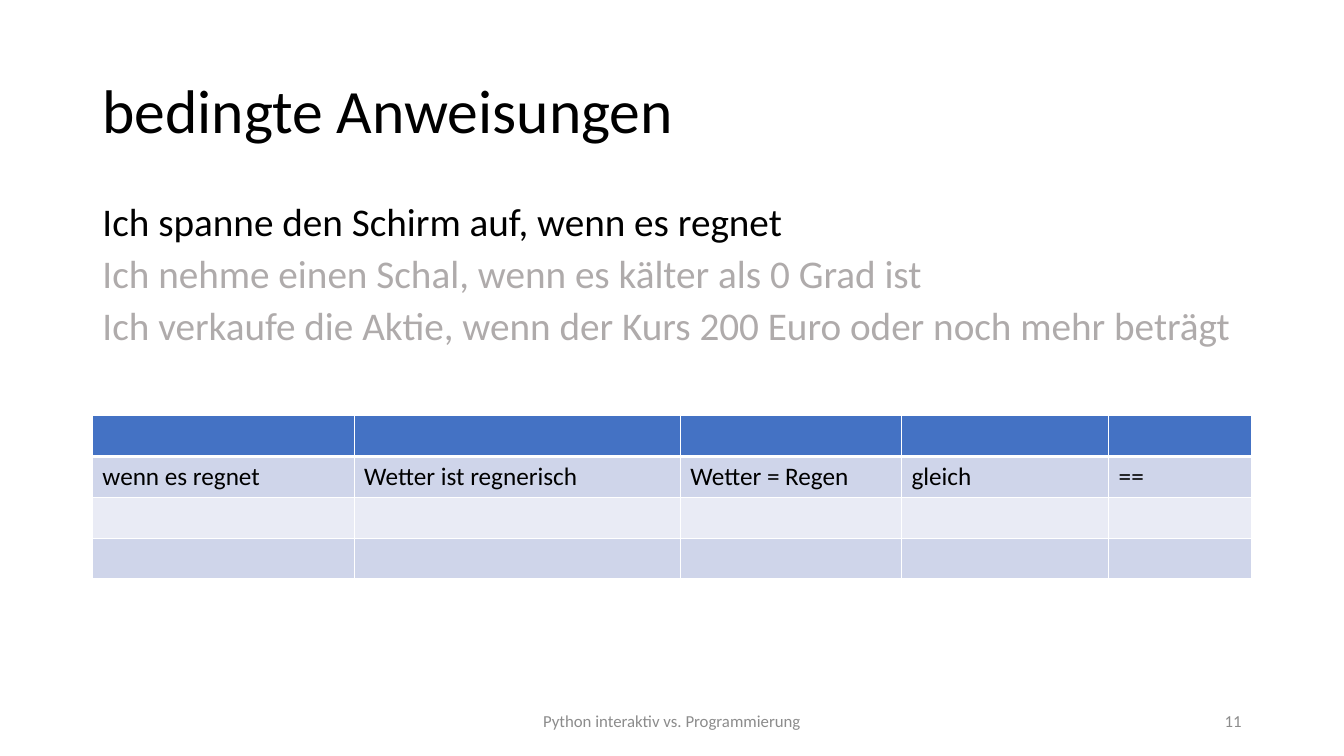
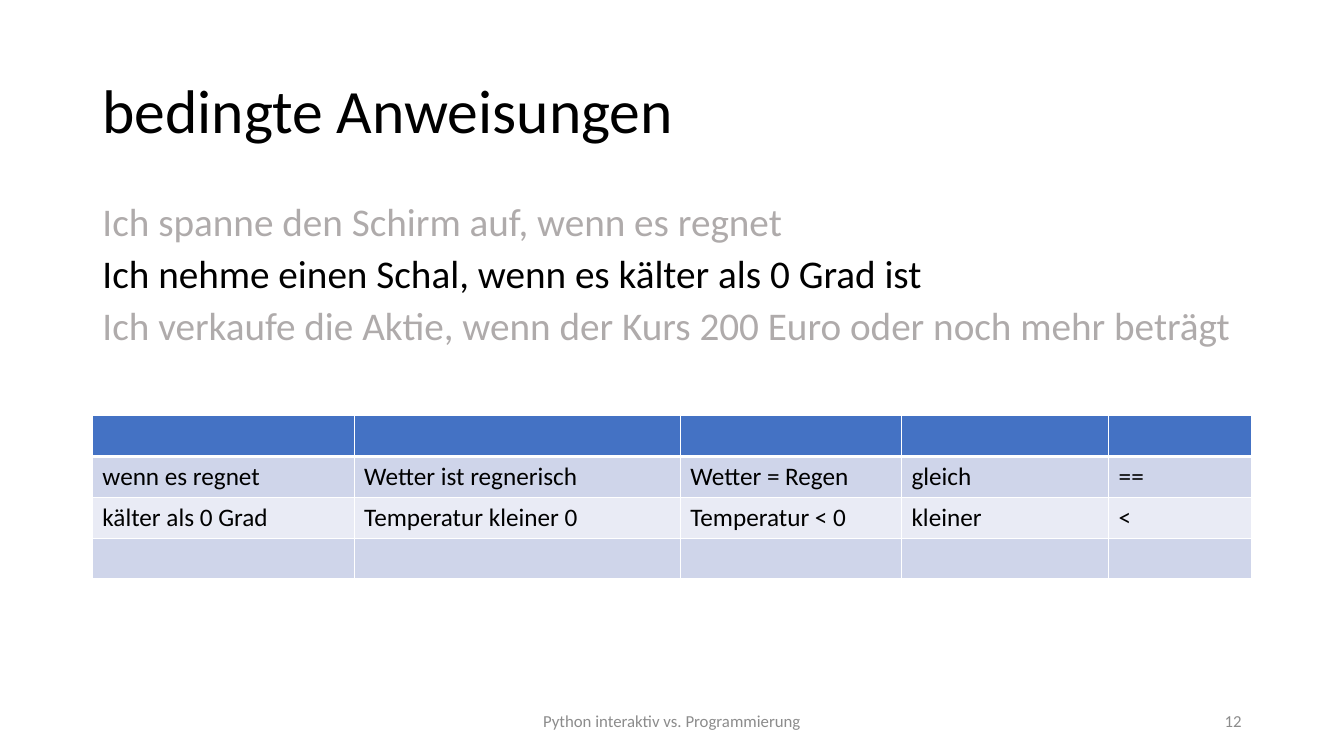
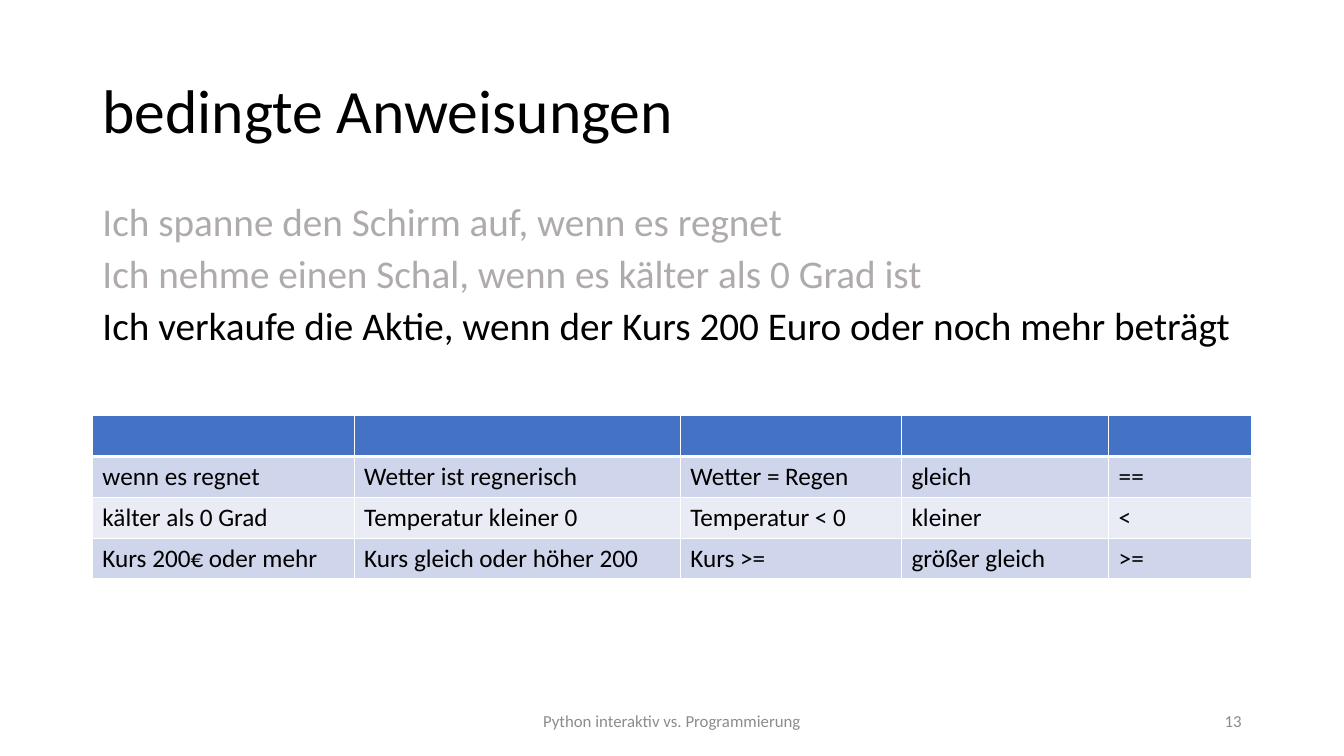
from dataclasses import dataclass

from lxml.etree import SubElement
from pptx import Presentation
from pptx.dml.color import RGBColor
from pptx.enum.text import MSO_ANCHOR as Anchor, MSO_AUTO_SIZE as AutoSize, PP_ALIGN as Align
from pptx.oxml.ns import qn
from pptx.util import Pt


@dataclass(frozen=True)
class Theme:
    font: str = "Calibri"
    text: str = "000000"
    faded: str = "AFABAB"
    footer: str = "8C8C8C"
    border: str = "FFFFFF"
    header: str = "4472C4"
    bands: tuple = ("CFD5EA", "E9EBF5")
    title_size: int = 44
    body_size: int = 28
    table_size: int = 18
    footer_size: int = 12


theme = Theme()


def write(frame, text, size, color=theme.text, align=Align.LEFT, anchor=Anchor.TOP,
          line_spacing=1.0, space_before=0, plain_list=False):
    frame.word_wrap = True
    frame.vertical_anchor = anchor
    paragraph = frame.paragraphs[0]
    if paragraph.runs:
        paragraph = frame.add_paragraph()
    paragraph.alignment = align
    paragraph.line_spacing = line_spacing
    paragraph.space_before = Pt(space_before)
    if plain_list:
        properties = paragraph._p.get_or_add_pPr()
        properties.set("marL", "0")
        properties.set("indent", "0")
        SubElement(properties, qn("a:buNone"))
    run = paragraph.add_run()
    run.text = text
    run.font.name = theme.font
    run.font.size = Pt(size)
    run.font.color.rgb = RGBColor.from_string(color)


def add_border(cell, side, width):
    line = SubElement(cell._tc.get_or_add_tcPr(), qn(f"a:ln{side}"), w=str(Pt(width)))
    fill = SubElement(line, qn("a:solidFill"))
    SubElement(fill, qn("a:srgbClr"), val=theme.border)


left, content_width = 66, 828
footer_top, footer_height = 500.5, 28.8
first_number = 11
column_widths = [187, 233, 158, 148, 102]
row_height = 29.2
sentences = [
    "Ich spanne den Schirm auf, wenn es regnet",
    "Ich nehme einen Schal, wenn es kälter als 0 Grad ist",
    "Ich verkaufe die Aktie, wenn der Kurs 200 Euro oder noch mehr beträgt",
]
conditions = [
    ["wenn es regnet", "Wetter ist regnerisch", "Wetter = Regen", "gleich", "=="],
    ["kälter als 0 Grad", "Temperatur kleiner 0", "Temperatur < 0", "kleiner", "<"],
    ["Kurs 200€ oder mehr", "Kurs gleich oder höher 200", "Kurs >=", "größer gleich", ">="],
]
row_count = len(conditions) + 1

presentation = Presentation()
presentation.slide_width, presentation.slide_height = Pt(960), Pt(540)

for step in range(len(sentences)):
    slide = presentation.slides.add_slide(presentation.slide_layouts[1])
    title, body = slide.shapes.title, slide.placeholders[1]
    for shape, top, height in [(title, 28.8, 104.4), (body, 144, 116.6)]:
        shape.left, shape.top = Pt(left), Pt(top)
        shape.width, shape.height = Pt(content_width), Pt(height)
        shape.text_frame.auto_size = AutoSize.NONE

    write(title.text_frame, "bedingte Anweisungen", theme.title_size,
          anchor=Anchor.MIDDLE, line_spacing=0.9)
    for index, sentence in enumerate(sentences):
        write(body.text_frame, sentence, theme.body_size,
              color=theme.text if index == step else theme.faded,
              line_spacing=0.8, space_before=10, plain_list=True)

    table = slide.shapes.add_table(row_count, len(column_widths), Pt(left), Pt(296.8),
                                   Pt(content_width), Pt(row_height * row_count)).table
    for column, width in zip(table.columns, column_widths):
        column.width = Pt(width)
    for row_index, row in enumerate(table.rows):
        row.height = Pt(row_height)
        for column_index, cell in enumerate(row.cells):
            add_border(cell, "L", 1)
            add_border(cell, "R", 1)
            add_border(cell, "T", 3 if row_index == 1 else 1)
            add_border(cell, "B", 3 if row_index == 0 else 1)
            color = theme.bands[(row_index - 1) % 2] if row_index else theme.header
            cell.fill.solid()
            cell.fill.fore_color.rgb = RGBColor.from_string(color)
            if 0 < row_index <= step + 1:
                write(cell.text_frame, conditions[row_index - 1][column_index], theme.table_size)

    for text, box_left, width, align in [
        ("Python interaktiv vs. Programmierung", 318, 324, Align.CENTER),
        (str(first_number + step), 678, 216, Align.RIGHT),
    ]:
        box = slide.shapes.add_textbox(Pt(box_left), Pt(footer_top), Pt(width), Pt(footer_height))
        write(box.text_frame, text, theme.footer_size, color=theme.footer,
              align=align, anchor=Anchor.MIDDLE)

presentation.save("out.pptx")
